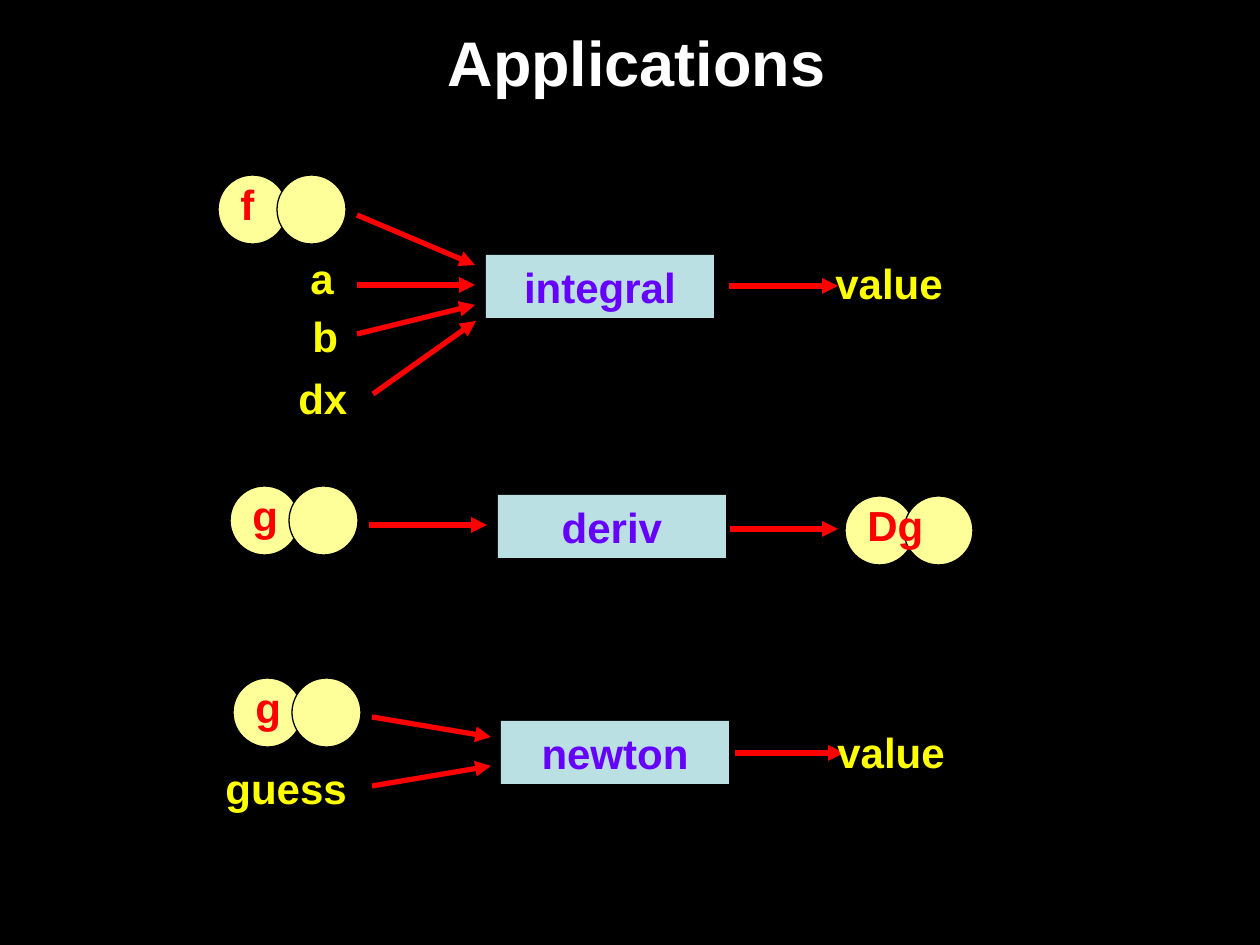
from pptx import Presentation
from pptx import util as u
from pptx.dml.color import RGBColor
from pptx.enum import shapes, text
from pptx.oxml import parse_xml
from pptx.oxml.ns import nsdecls

BLACK = RGBColor(0x00, 0x00, 0x00)
WHITE = RGBColor(0xFF, 0xFF, 0xFF)
RED = RGBColor(0xFF, 0x00, 0x00)
YELLOW = RGBColor(0xFF, 0xFF, 0x00)
CREAM = RGBColor(0xFF, 0xFF, 0x99)
TEAL = RGBColor(0xBB, 0xE0, 0xE3)
PURPLE = RGBColor(0x66, 0x00, 0xFF)

LABEL_H = 63
BOX_W = 228
BOX_DX = 268
CIRCLE = 69
CIRCLE_DX = 59


def px(n):
    return u.Emu(round(n * 914400 / 126))


def write(tf, txt, color=YELLOW, size=24, align=text.PP_ALIGN.LEFT,
          anchor=text.MSO_ANCHOR.TOP):
    tf.word_wrap = True
    tf.vertical_anchor = anchor
    p = tf.paragraphs[0]
    p.alignment = align
    r = p.add_run()
    r.text = txt
    r.font.name = "Arial"
    r.font.size = u.Pt(size)
    r.font.bold = True
    r.font.color.rgb = color


def add_label(s, x, y, w, txt, **fmt):
    sp = s.shapes.add_textbox(px(x), px(y), px(w), px(LABEL_H))
    write(sp.text_frame, txt, **fmt)


def add_filled(s, kind, x, y, w, h, fill):
    sp = s.shapes.add_shape(kind, px(x), px(y), px(w), px(h))
    sp.shadow.inherit = False
    sp.fill.solid()
    sp.fill.fore_color.rgb = fill
    sp.line.fill.background()
    return sp


def add_arrow(s, x1, y1, x2, y2):
    c = s.shapes.add_connector(shapes.MSO_CONNECTOR.STRAIGHT,
                               px(x1), px(y1), px(x2), px(y2))
    c.line.color.rgb = RED
    c.line.width = u.Pt(3)
    ln = c.line._get_or_add_ln()
    ln.append(parse_xml(f'<a:tailEnd {nsdecls("a")} type="triangle"/>'))
    c._element.spPr.append(parse_xml(f'<a:effectLst {nsdecls("a")}/>'))


def add_procedure(s, x, y, name):
    for i in range(2):
        sp = add_filled(s, shapes.MSO_SHAPE.OVAL, x + i * CIRCLE_DX, y,
                        CIRCLE, CIRCLE, CREAM)
        sp.line.color.rgb = BLACK
        sp.line.width = u.Pt(0.75)
    add_label(s, x + 10, y - 3, 100, name, color=RED)


def add_application(s, x, y, name, argument, box_dy, arrows, labels=()):
    sp = add_filled(s, shapes.MSO_SHAPE.RECTANGLE, x + BOX_DX, y + box_dy,
                    BOX_W, LABEL_H, TEAL)
    write(sp.text_frame, name, color=PURPLE, align=text.PP_ALIGN.CENTER,
          anchor=text.MSO_ANCHOR.MIDDLE)
    add_procedure(s, x, y, argument)
    for x1, y1, x2, y2 in arrows:
        add_arrow(s, x + x1, y + y1, x + x2, y + y2)
    for txt, dx, dy, w in labels:
        add_label(s, x + dx, y + dy, w, txt)


def add_title(s, x, y, w, h, txt):
    sp = s.shapes.title
    sp.left, sp.top, sp.width, sp.height = px(x), px(y), px(w), px(h)
    tf = sp.text_frame
    tf.margin_right = 0
    write(tf, txt, color=WHITE, size=36)


def main():
    prs = Presentation()
    prs.slide_width, prs.slide_height = px(1260), px(945)
    s = prs.slides.add_slide(prs.slide_layouts[5])
    s.background.fill.solid()
    s.background.fill.fore_color.rgb = BLACK

    add_title(s, 435, 17, 403, 88, "Applications")
    add_application(
        s, 218, 175, "integral", "f", 80,
        [(139, 40, 257, 90), (139, 110, 257, 110), (139, 159, 257, 130),
         (155, 219, 258, 146), (511, 111, 620, 111)],
        [("a", 80, 71, 60), ("b", 82, 129, 60), ("dx", 68, 191, 90),
         ("value", 605, 76, 159)])
    add_application(
        s, 230, 486, "deriv", "g", 9,
        [(139, 39, 257, 39), (500, 43, 608, 43)])
    add_procedure(s, 845, 496, "Dg")
    add_application(
        s, 233, 678, "newton", "g", 43,
        [(139, 39, 258, 59), (139, 108, 258, 88), (502, 75, 611, 75)],
        [("guess", -20, 78, 180), ("value", 592, 42, 159)])

    prs.save("out.pptx")


if __name__ == "__main__":
    main()
